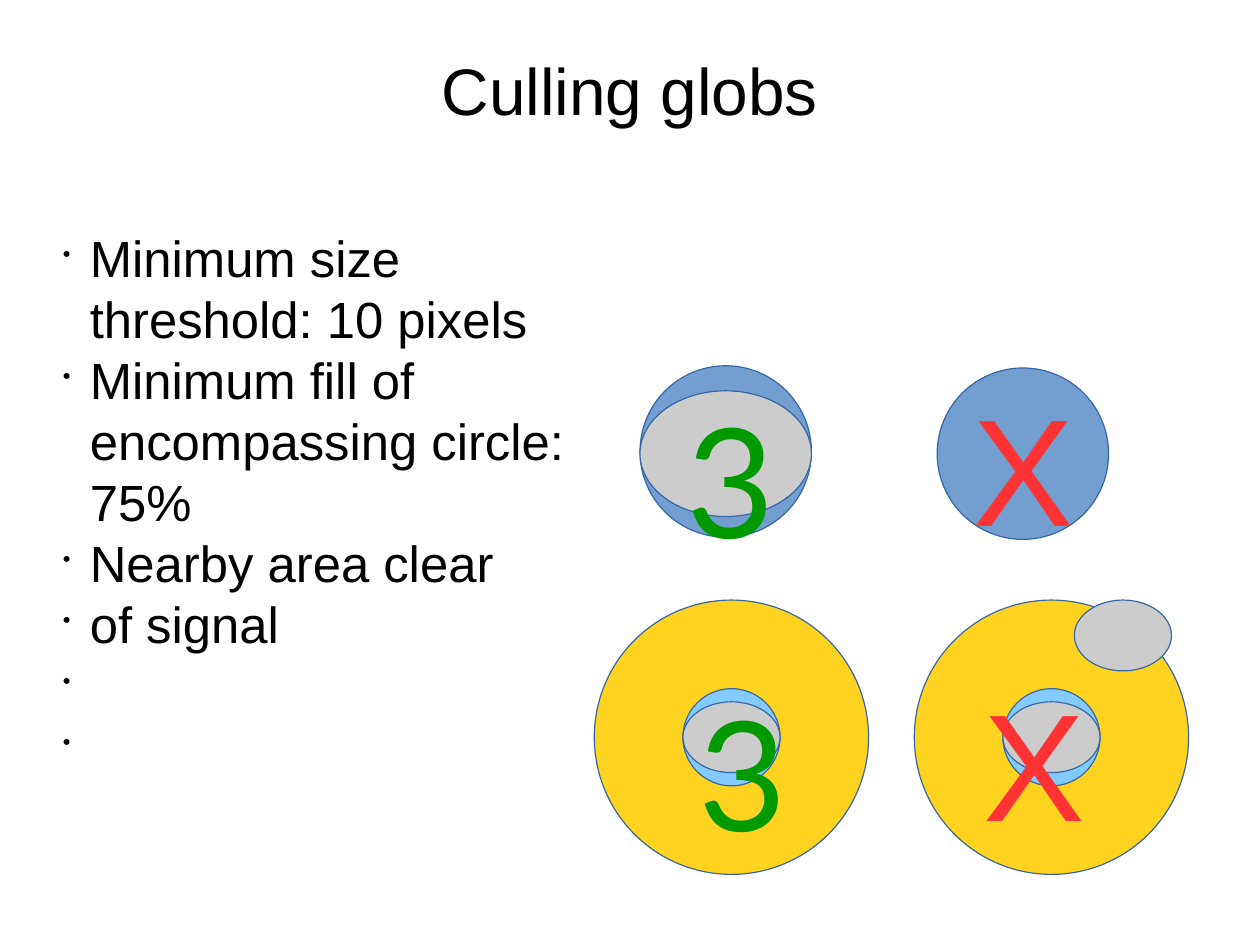
from pptx import Presentation
from pptx.dml.color import RGBColor
from pptx.enum.shapes import MSO_SHAPE
from pptx.enum.text import MSO_ANCHOR, PP_ALIGN
from pptx.util import Pt
from lxml.etree import SubElement
from pptx.oxml.ns import qn

# Content
title = "Culling globs"
rules = [
    "Minimum size threshold: 10 pixels",
    "Minimum fill of encompassing circle: 75%",
    "Nearby area clear\nof signal\n\n",
]
# Ovals from back to front: centre x, centre y, width, height, colour
fill_test = [
    (457.2, 284.4, 108, 108, "circle"),
    (644.4, 285.8, 108, 108, "circle"),
    (457.2, 285.8, 108, 79.2, "glob"),
]
clear_area = [
    (172.8, 172.8, "area"),
    (61.2, 61.2, "inner"),
    (61.2, 44.6, "glob"),
]
area_centres = [(460.8, 464.4), (662.4, 464.4)]
intruder = (707.4, 400.3, 61.2, 44.6, "glob")
# Verdicts: mark, left, top, width, height
verdicts = [
    ("X", 612.7, 417.6, 78.5, 114.5),
    ("3", 432.7, 424.4, 86.4, 99.4),
    ("X", 605.5, 231.8, 78.5, 114.5),
    ("3", 425.5, 239.4, 86.4, 99.4),
]

theme = {
    "text": "000000", "outline": "3465A4", "circle": "729FCF",
    "area": "FFD320", "inner": "83CAFF", "glob": "CCCCCC",
    "title_size": 41.4, "rule_size": 32, "verdict_size": 96,
    "font": "Arial",
    "verdicts": {"X": ("Arial", "FF3333"), "3": ("Lato", "009900")},
}

deck = Presentation()
deck.slide_width, deck.slide_height = Pt(793.75), Pt(595.25)
slide = deck.slides.add_slide(deck.slide_layouts[6])


def text_frame(left, top, width, height, margins=(0, 0)):
    frame = slide.shapes.add_textbox(Pt(left), Pt(top), Pt(width), Pt(height)).text_frame
    frame.word_wrap = True
    frame.margin_left = frame.margin_right = Pt(margins[0])
    frame.margin_top = frame.margin_bottom = Pt(margins[1])
    return frame


def write(paragraph, text, size, color=theme["text"], font=theme["font"]):
    paragraph.add_run().text = text
    paragraph.font.size = Pt(size)
    paragraph.font.name = font
    paragraph.font.color.rgb = RGBColor.from_string(color)


def add_bullet(paragraph, indent=17):
    properties = paragraph._p.get_or_add_pPr()
    properties.set("marL", str(Pt(indent)))
    properties.set("indent", str(-Pt(indent)))
    # Bullet elements go ahead of the default run properties
    size = SubElement(properties, qn("a:buSzPct"), val="45000")
    bullet = SubElement(properties, qn("a:buChar"), char="•")
    defaults = properties.find(qn("a:defRPr"))
    defaults.addprevious(size)
    defaults.addprevious(bullet)


def add_oval(x, y, width, height, part):
    oval = slide.shapes.add_shape(
        MSO_SHAPE.OVAL, Pt(x - width / 2), Pt(y - height / 2), Pt(width), Pt(height))
    oval.shadow.inherit = False
    oval.fill.solid()
    oval.fill.fore_color.rgb = RGBColor.from_string(theme[part])
    oval.line.color.rgb = RGBColor.from_string(theme["outline"])
    oval.line.width = Pt(0.75)


# Title
heading = text_frame(39.6, 22.3, 714.2, 67.7)
heading.vertical_anchor = MSO_ANCHOR.MIDDLE
heading.paragraphs[0].alignment = PP_ALIGN.CENTER
write(heading.paragraphs[0], title, theme["title_size"])

# Culling rules
rule_list = text_frame(39.6, 143, 348.5, 344.9)
for number, rule in enumerate(rules):
    paragraph = rule_list.add_paragraph() if number else rule_list.paragraphs[0]
    paragraph.line_spacing = Pt(1.2 * theme["rule_size"])
    write(paragraph, rule, theme["rule_size"])
    add_bullet(paragraph)

# Globs and their surroundings
for oval in fill_test:
    add_oval(*oval)
for x, y in area_centres:
    for ring in clear_area:
        add_oval(x, y, *ring)
add_oval(*intruder)

# Verdicts
for mark, *place in verdicts:
    font, color = theme["verdicts"][mark]
    frame = text_frame(*place, margins=(7.2, 3.6))
    write(frame.paragraphs[0], mark, theme["verdict_size"], color, font)

deck.save("out.pptx")
